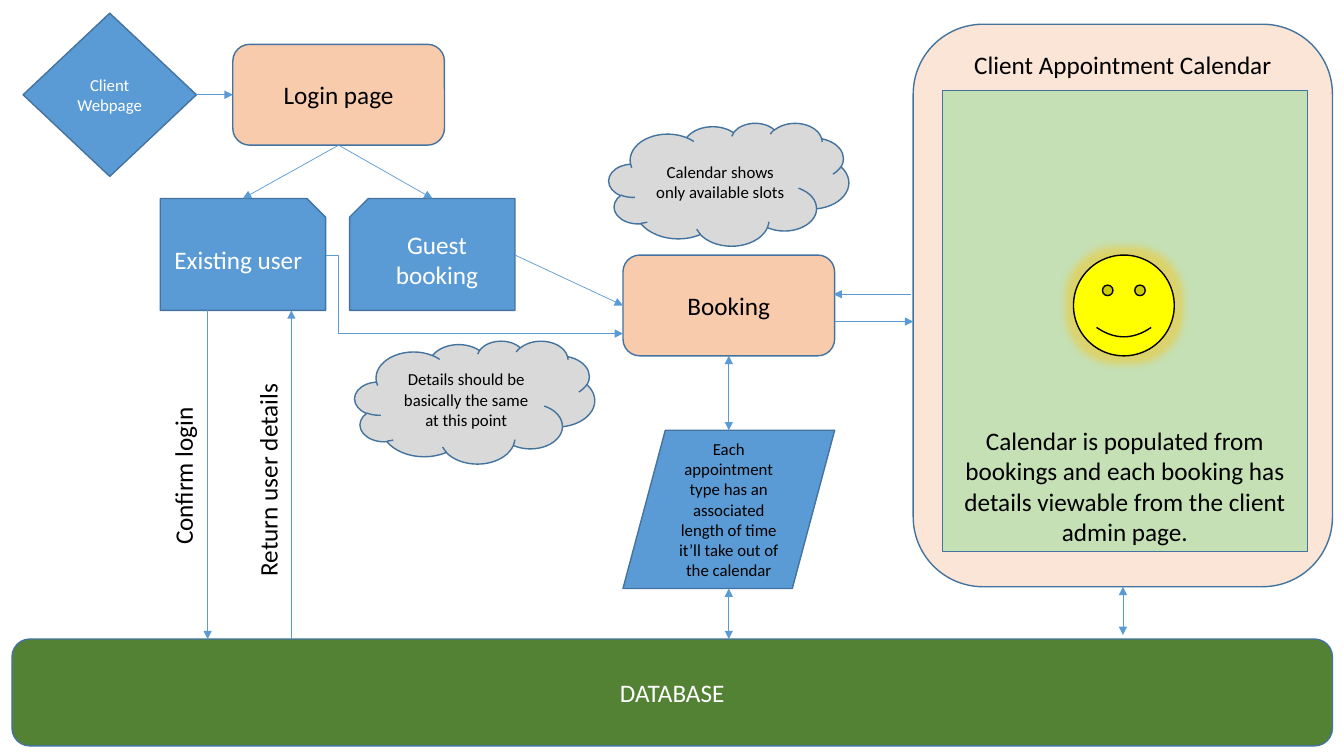
import pptx
import pptx.dml.color
import pptx.enum.shapes
import pptx.enum.text
import pptx.oxml
import pptx.oxml.ns
import pptx.util
from lxml import etree

Pt = pptx.util.Pt
SHAPE = pptx.enum.shapes.MSO_SHAPE
CONNECTOR = pptx.enum.shapes.MSO_CONNECTOR
ANCHOR = pptx.enum.text.MSO_ANCHOR
ALIGN = pptx.enum.text.PP_ALIGN

FONT = "Calibri"
BLUE, OUTLINE = "5B9BD5", "43739E"
PEACH, PALE_PEACH = "F8CBAD", "FBE5D6"
GREEN, PALE_GREEN = "548235", "C5E0B4"
GREY, YELLOW, GOLD = "D9D9D9", "FFFF00", "FFC000"
BLACK, WHITE = "000000", "FFFFFF"

DATABASE_TOP = 456.5
USER_TOP, USER_BOTTOM, USER_MIDDLE = 141.8, 221.7, 182.2
BOOKING_LEFT, BOOKING_RIGHT, BOOKING_CENTRE = 445, 596.2, 520.6
CALENDAR_LEFT, CALENDAR_CENTRE, CALENDAR_BOTTOM = 652.3, 802.1, 419.1


def color(value):
    """Turn a hex string into an RGB colour."""
    return pptx.dml.color.RGBColor.from_string(value)


def drawing_element(parent, tag, **attributes):
    """Append a DrawingML element to a parent."""
    return etree.SubElement(parent, pptx.oxml.ns.qn(f"a:{tag}"), attributes)


def write_text(shape, text, size, font_color, align):
    """Set the text of a shape and format its run."""
    paragraph = shape.text_frame.paragraphs[0]
    paragraph.text = text
    paragraph.alignment = align
    font = paragraph.runs[0].font
    font.name, font.size = FONT, Pt(size)
    font.color.rgb = color(font_color)


def add_block(slide, kind, box, fill, text="", size=18, font_color=BLACK,
              anchor=ANCHOR.MIDDLE, outline=OUTLINE):
    """Add a filled, outlined shape with centred text."""
    shape = slide.shapes.add_shape(kind, *map(Pt, box))
    shape.shadow.inherit = False
    shape.fill.solid()
    shape.fill.fore_color.rgb = color(fill)
    shape.line.color.rgb = color(outline)
    shape.line.width = Pt(1)
    if text:
        shape.text_frame.word_wrap = True
        shape.text_frame.vertical_anchor = anchor
        write_text(shape, text, size, font_color, ALIGN.CENTER)
    return shape


def add_glow(shape, radius, glow_color):
    """Put a translucent glow around a shape."""
    effects = shape._element.spPr.find(pptx.oxml.ns.qn("a:effectLst"))
    glow = drawing_element(effects, "glow", rad=str(Pt(radius)))
    tint = drawing_element(glow, "srgbClr", val=glow_color)
    drawing_element(tint, "alpha", val="40000")


def add_vertical_label(slide, box, text):
    """Add a text box that reads from bottom to top."""
    label = slide.shapes.add_textbox(*map(Pt, box))
    label.rotation = 270
    label.text_frame.word_wrap = False
    label.text_frame.auto_size = pptx.enum.text.MSO_AUTO_SIZE.SHAPE_TO_FIT_TEXT
    write_text(label, text, 18, BLACK, ALIGN.LEFT)


def add_arrow(slide, start, end, both=False, kind=CONNECTOR.STRAIGHT):
    """Add a thin arrow, with a head at one end or both."""
    arrow = slide.shapes.add_connector(kind, *map(Pt, start + end))
    arrow.line.color.rgb = color(BLUE)
    arrow.line.width = Pt(0.5)
    line = arrow.line._get_or_add_ln()
    if both:
        drawing_element(line, "headEnd", type="triangle")
    drawing_element(line, "tailEnd", type="triangle")
    drawing_element(arrow._element.spPr, "effectLst")
    return arrow


def add_elbow(slide, start, end, bend):
    """Add an arrow that bends at a share of its width."""
    arrow = add_arrow(slide, start, end, kind=CONNECTOR.ELBOW)
    guides = arrow._element.spPr.prstGeom.get_or_add_avLst()
    drawing_element(guides, "gd", name="adj1", fmla=f"val {round(bend * 100000)}")


def add_login(slide):
    """Draw the web page, the login page and both kinds of user."""
    add_block(slide, SHAPE.DIAMOND, (16.5, 9.4, 123.8, 116.6), BLUE,
              "Client Webpage", 12, WHITE)
    add_block(slide, SHAPE.ROUNDED_RECTANGLE, (166.3, 31.7, 151.2, 72), PEACH,
              "Login page")
    users = [add_block(slide, SHAPE.SNIP_1_RECTANGLE,
                       (left, USER_TOP, 118.1, USER_BOTTOM - USER_TOP),
                       BLUE, text, font_color=WHITE)
             for left, text in ((114.5, "Existing user"), (249.8, "Guest booking"))]
    users[1]._element.spPr.xfrm.set("flipH", "1")

    add_arrow(slide, (139.9, 67.7), (166.3, 67.7))
    for user_centre in (173.5, 308.9):
        add_arrow(slide, (241.9, 103.7), (user_centre, USER_TOP))
    add_arrow(slide, (148.3, USER_BOTTOM), (148.3, DATABASE_TOP))
    add_arrow(slide, (208.1, DATABASE_TOP), (208.1, USER_BOTTOM))
    add_vertical_label(slide, (73.4, 324.7, 114.5, 28.8), "Confirm login")
    add_vertical_label(slide, (114.5, 327.6, 153.4, 28.8), "Return user details")


def add_calendar(slide):
    """Draw the client calendar with its panel and smiley."""
    add_block(slide, SHAPE.ROUNDED_RECTANGLE, (CALENDAR_LEFT, 17.3, 299.5, 401.8),
              PALE_PEACH, "Client Appointment Calendar", anchor=ANCHOR.TOP)
    add_block(slide, SHAPE.RECTANGLE, (673.2, 64.8, 260.6, 329), PALE_GREEN,
              "Calendar is populated from bookings and each booking has details "
              "viewable from the client admin page.", anchor=ANCHOR.BOTTOM)
    smiley = add_block(slide, SHAPE.SMILEY_FACE, (766.8, 182.2, 72, 72), YELLOW,
                       outline=BLACK)
    add_glow(smiley, 11, GOLD)
    add_arrow(slide, (CALENDAR_CENTRE, CALENDAR_BOTTOM), (CALENDAR_CENTRE, 453.6),
              both=True)


def add_booking(slide):
    """Draw the booking step, its notes and its arrows."""
    add_block(slide, SHAPE.ROUNDED_RECTANGLE, (BOOKING_LEFT, 182.2, 151.2, 72),
              PEACH, "Booking")
    add_block(slide, SHAPE.FLOWCHART_DATA, (BOOKING_LEFT, 307.4, 151.2, 113), BLUE,
              "Each appointment type has an associated length of time "
              "it\u2019ll take out of the calendar", 12)
    for left, top, note in (
            (253.4, 243.4, "Details should be basically the same at this point"),
            (434.9, 87.8, "Calendar shows only available slots")):
        add_block(slide, SHAPE.CLOUD, (left, top, 171.4, 87.8), GREY, note, 12)

    add_arrow(slide, (367.9, USER_MIDDLE), (BOOKING_LEFT, 218.2))
    add_elbow(slide, (232.6, USER_MIDDLE), (BOOKING_LEFT, 238.3), 0.042)
    add_arrow(slide, (BOOKING_RIGHT, 229.7), (CALENDAR_LEFT, 229.7))
    add_arrow(slide, (CALENDAR_LEFT - 1.4, 210.2), (BOOKING_RIGHT - 0.7, 210.2))
    for top, bottom in ((254.2, 307.4), (420.4, DATABASE_TOP)):
        add_arrow(slide, (BOOKING_CENTRE, top), (BOOKING_CENTRE, bottom), both=True)


def main():
    """Build the booking flow slide."""
    presentation = pptx.Presentation()
    presentation.slide_width, presentation.slide_height = Pt(960), Pt(540)
    slide = presentation.slides.add_slide(presentation.slide_layouts[6])
    add_block(slide, SHAPE.ROUNDED_RECTANGLE, (8.6, DATABASE_TOP, 943.2, 76.3),
              GREEN, "DATABASE", font_color=WHITE)
    add_login(slide)
    add_calendar(slide)
    add_booking(slide)
    presentation.save("out.pptx")


main()
